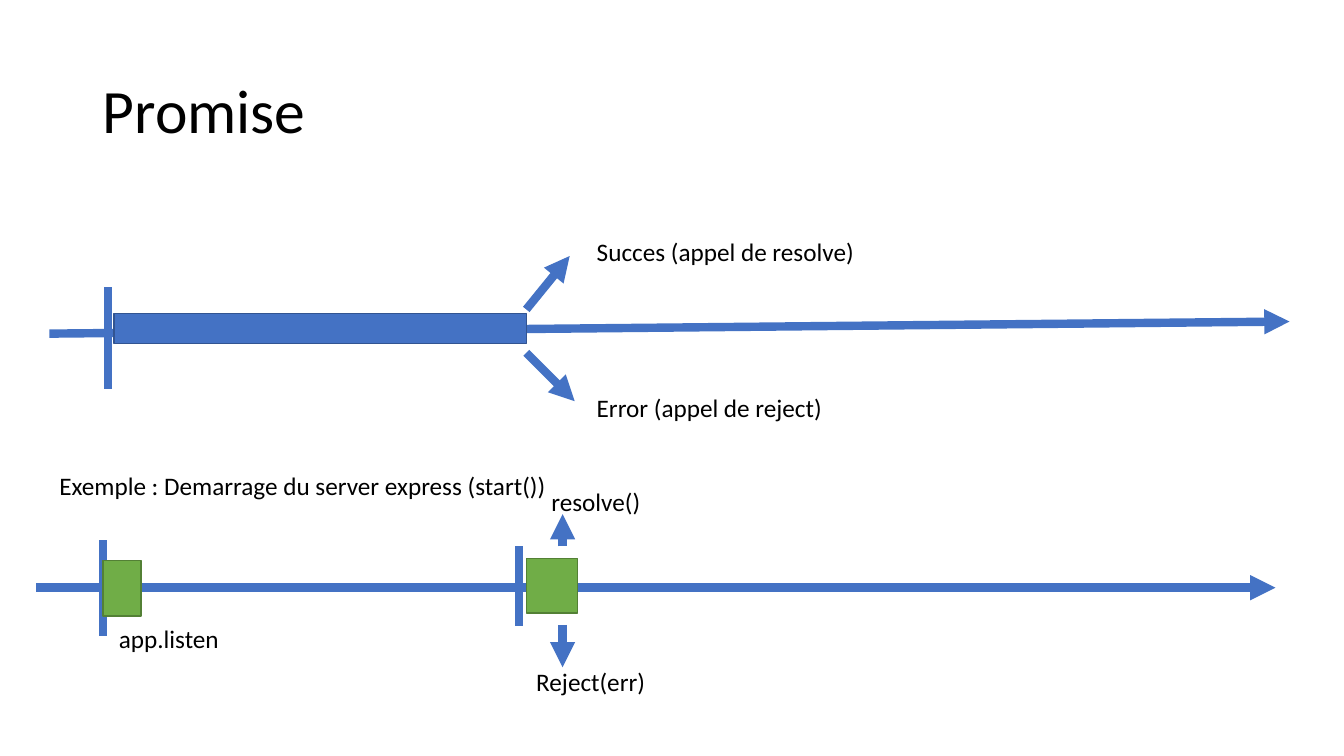
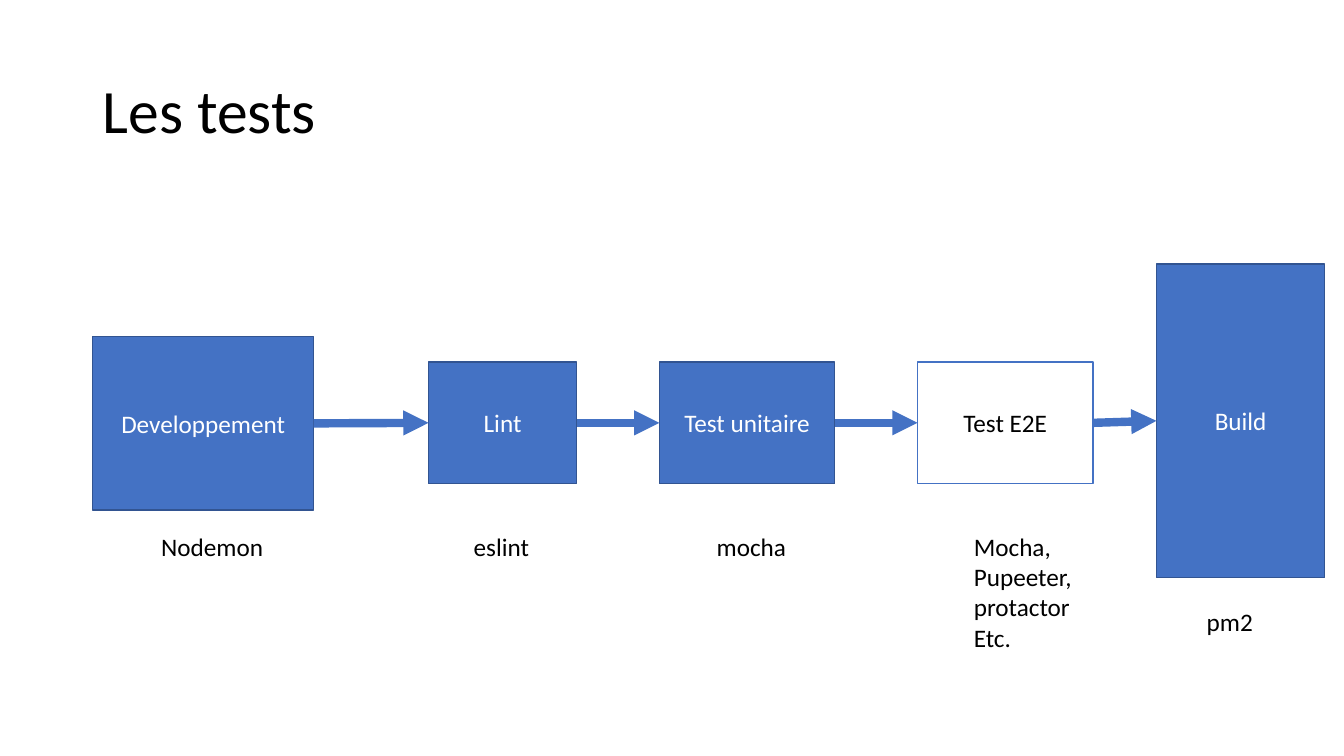
from dataclasses import dataclass
from itertools import pairwise

from lxml.etree import SubElement
from pptx import Presentation
from pptx.dml.color import RGBColor
from pptx.enum.shapes import MSO_CONNECTOR, MSO_SHAPE
from pptx.enum.text import MSO_ANCHOR, MSO_AUTO_SIZE, PP_ALIGN
from pptx.oxml.ns import qn
from pptx.shapes.autoshape import Shape
from pptx.shapes.connector import Connector
from pptx.slide import Slide
from pptx.util import Inches, Pt


@dataclass(frozen=True)
class Theme:
    """Colours, font and sizes shared by both slides."""
    blue: str = "4472C4"
    blue_edge: str = "325491"
    green: str = "70AD47"
    green_edge: str = "538035"
    black: str = "000000"
    white: str = "FFFFFF"
    font: str = "Calibri"
    title_size: int = 44
    text_size: int = 18
    stroke: int = 6
    border: int = 1
    label_height: float = 0.4


THEME = Theme()


@dataclass(frozen=True)
class Line:
    """A thick line, with or without an arrowhead."""
    start: tuple[float, float]
    end: tuple[float, float]
    arrow: bool = True


@dataclass(frozen=True)
class Box:
    """A bordered rectangle with an optional centred text."""
    left: float
    top: float
    width: float
    height: float
    text: str = ""
    fill: str = THEME.blue
    edge: str = THEME.blue_edge
    ink: str = THEME.white


@dataclass(frozen=True)
class Label:
    """Free text, one paragraph per line."""
    left: float
    top: float
    width: float
    text: str
    height: float = THEME.label_height


def set_format(target: object, values: dict[str, object]) -> None:
    """Set each named attribute of the target."""
    for name, value in values.items():
        setattr(target, name, value)


def write(shape: Shape, text: str, ink: str, size: int,
          frame: dict[str, object], paragraph_format: dict[str, object]) -> None:
    """Fill a shape with formatted text."""
    shape.text_frame.text = text
    set_format(shape.text_frame, frame)
    for paragraph in shape.text_frame.paragraphs:
        set_format(paragraph, paragraph_format)
        for run in paragraph.runs:
            set_format(run.font, {"name": THEME.font, "size": Pt(size)})
            run.font.color.rgb = RGBColor.from_string(ink)


def add_titled_slide(deck: Presentation, title: str) -> Slide:
    """Add a title-only slide with the shared title style."""
    slide = deck.slides.add_slide(deck.slide_layouts.get_by_name("Title Only"))
    heading = slide.shapes.title
    set_format(heading, {"left": Inches(0.92), "top": Inches(0.4),
                         "width": Inches(11.5), "height": Inches(1.45)})
    write(heading, title, THEME.black, THEME.title_size,
          {"vertical_anchor": MSO_ANCHOR.MIDDLE},
          {"alignment": PP_ALIGN.LEFT, "line_spacing": 0.9})
    return slide


def draw_line(slide: Slide, line: Line) -> Connector:
    """Draw a thick straight connector."""
    connector = slide.shapes.add_connector(
        MSO_CONNECTOR.STRAIGHT, *map(Inches, line.start + line.end))
    connector.line.color.rgb = RGBColor.from_string(THEME.blue)
    connector.line.width = Pt(THEME.stroke)
    if line.arrow:
        SubElement(connector.line._get_or_add_ln(), qn("a:tailEnd"), type="triangle")
    SubElement(connector._element.spPr, qn("a:effectLst"))
    return connector


def draw_box(slide: Slide, box: Box) -> Shape:
    """Draw a rectangle and its text."""
    shape = slide.shapes.add_shape(
        MSO_SHAPE.RECTANGLE,
        *map(Inches, (box.left, box.top, box.width, box.height)))
    shape.shadow.inherit = False
    shape.fill.solid()
    shape.fill.fore_color.rgb = RGBColor.from_string(box.fill)
    shape.line.color.rgb = RGBColor.from_string(box.edge)
    shape.line.width = Pt(THEME.border)
    if box.text:
        write(shape, box.text, box.ink, THEME.text_size,
              {"vertical_anchor": MSO_ANCHOR.MIDDLE, "word_wrap": True},
              {"alignment": PP_ALIGN.CENTER})
    return shape


def draw_label(slide: Slide, label: Label) -> None:
    """Draw unwrapped text."""
    shape = slide.shapes.add_textbox(
        *map(Inches, (label.left, label.top, label.width, label.height)))
    write(shape, label.text, THEME.black, THEME.text_size,
          {"word_wrap": False, "auto_size": MSO_AUTO_SIZE.SHAPE_TO_FIT_TEXT},
          {"alignment": PP_ALIGN.LEFT})


DRAW = {Line: draw_line, Box: draw_box, Label: draw_label}

PROMISE_TIMELINES = [
    Line((0.49, 3.31), (12.79, 3.19)),
    Line((1.07, 2.85), (1.07, 3.86), arrow=False),
    Box(1.13, 3.11, 4.09, 0.3),
    Line((5.22, 3.07), (5.65, 2.54)),
    Label(5.82, 2.3, 2.79, "Succes (appel de resolve)"),
    Line((5.22, 3.5), (5.7, 3.98)),
    Label(5.82, 3.84, 2.46, "Error (appel de reject)"),
    Line((0.36, 5.83), (12.65, 5.83)),
    Label(0.49, 4.62, 5.08, "Exemple : Demarrage du server express (start())"),
    Line((1.02, 5.36), (1.02, 6.31), arrow=False),
    Box(1.02, 5.56, 0.38, 0.55, fill=THEME.green, edge=THEME.green_edge),
    Line((5.15, 5.42), (5.15, 6.21), arrow=False),
    Box(5.22, 5.54, 0.51, 0.54, fill=THEME.green, edge=THEME.green_edge),
    Line((5.58, 5.42), (5.58, 5.1)),
    Label(5.37, 4.78, 1.09, "resolve()"),
    Line((5.58, 6.2), (5.58, 6.62)),
    Label(5.22, 6.56, 1.29, "Reject(err)"),
    Label(1.08, 6.13, 1.23, "app.listen"),
]

TEST_STEPS = [
    Box(0.92, 3.34, 2.19, 1.72, "Developpement"),
    Box(4.25, 3.59, 1.47, 1.21, "Lint"),
    Box(6.54, 3.59, 1.74, 1.21, "Test unitaire"),
    Box(9.1, 3.59, 1.74, 1.21, "Test E2E",
        fill=THEME.white, edge=THEME.blue, ink=THEME.black),
    Box(11.47, 2.62, 1.67, 3.11, "Build"),
]

TEST_TOOLS = [
    Label(1.5, 5.22, 1.23, "Nodemon"),
    Label(4.6, 5.22, 0.76, "eslint"),
    Label(7.01, 5.22, 0.9, "mocha"),
    Label(9.56, 5.22, 1.19, "Mocha,\nPupeeter,\nprotactor\nEtc.", height=1.31),
    Label(11.87, 5.97, 0.66, "pm2"),
]


def build_promise(deck: Presentation) -> None:
    """Build the slide with the two promise timelines."""
    slide = add_titled_slide(deck, "Promise")
    for part in PROMISE_TIMELINES:
        DRAW[type(part)](slide, part)


def build_tests(deck: Presentation) -> None:
    """Build the chain of test steps, each glued to the next."""
    slide = add_titled_slide(deck, "Les tests")
    steps = [draw_box(slide, step) for step in TEST_STEPS]
    right_side, left_side = 3, 1
    for step, next_step in pairwise(steps):
        link = draw_line(slide, Line((0, 0), (0, 0)))
        link.begin_connect(step, right_side)
        link.end_connect(next_step, left_side)
    for tool in TEST_TOOLS:
        draw_label(slide, tool)


def main() -> None:
    """Build and save the deck."""
    deck = Presentation()
    set_format(deck, {"slide_width": Inches(13.33), "slide_height": Inches(7.5)})
    build_promise(deck)
    build_tests(deck)
    deck.save("out.pptx")


main()
